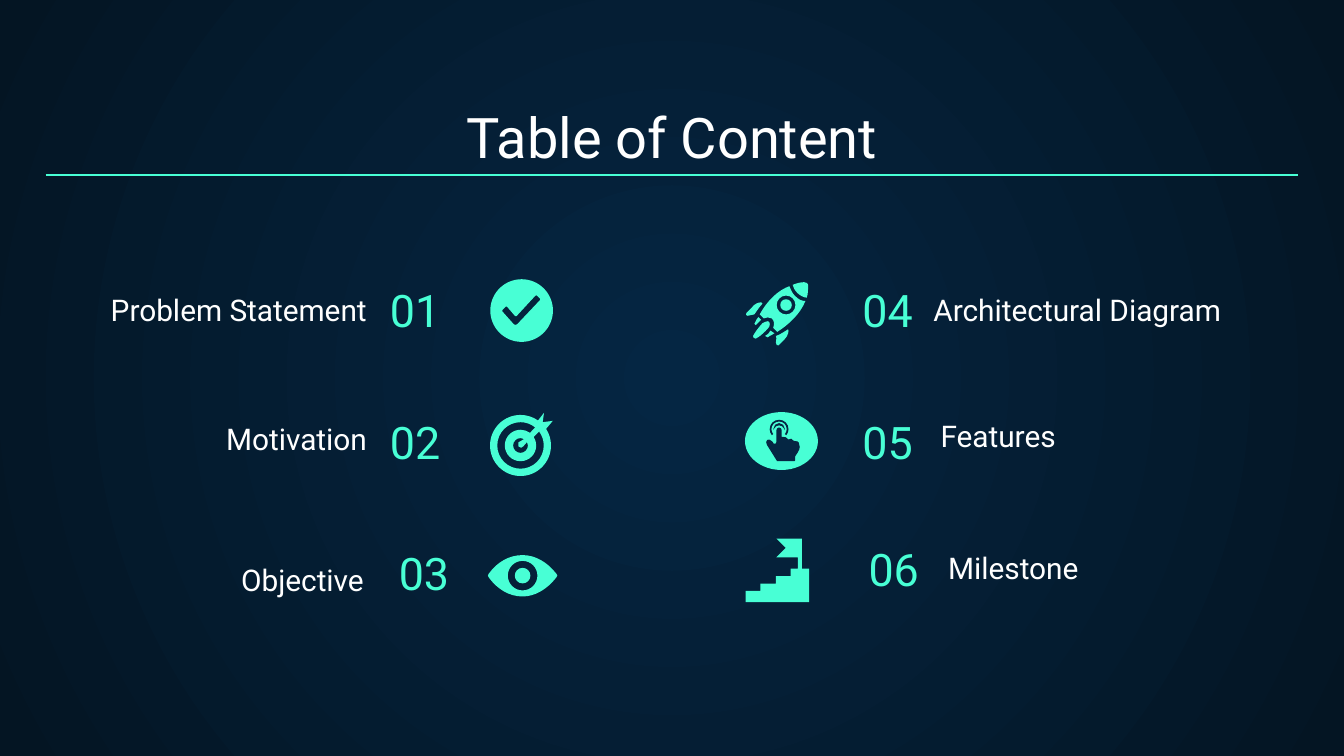
import math

from lxml import etree
from pptx import Presentation
from pptx import util as u
from pptx.dml import color
from pptx.enum import shapes, text
from pptx.oxml import ns

MINT, WHITE, NAVY, NIGHT = "48FFD5", "FFFFFF", "052643", "041523"
LEFT, CENTER, RIGHT = text.PP_ALIGN.LEFT, text.PP_ALIGN.CENTER, text.PP_ALIGN.RIGHT
FONT = "Roboto"
GRID = 0.72  # points per unit of the icon drawings


def rgb(value):
    return color.RGBColor.from_string(value)


def arc(x, y, radius, start=0, end=360):
    """A corner, then Bezier curves split at each quadrant; degrees, clockwise."""
    low, high = sorted((start, end))
    quadrants = range(math.floor(low / 90) * 90 + 90, high, 90)
    stops = sorted({low, *quadrants, high}, reverse=end < start)
    rays = [(math.cos(math.radians(a)), math.sin(math.radians(a))) for a in stops]
    steps = [(x + radius * rays[0][0], y + radius * rays[0][1])]
    for i in range(1, len(stops)):
        (c0, s0), (c1, s1) = rays[i - 1], rays[i]
        pull = 4 / 3 * math.tan(math.radians(stops[i] - stops[i - 1]) / 4)
        steps.append((x + radius * (c0 - pull * s0), y + radius * (s0 + pull * c0),
                      x + radius * (c1 + pull * s1), y + radius * (s1 - pull * c1),
                      x + radius * c1, y + radius * s1))
    return steps


# Each icon is a list of parts, each part a list of closed outlines.
# In an outline, pairs are corners and six numbers are a Bezier curve.
CHECK = [[
    [(34.5, 12), (37, 14.5), (37, 15.5), (20, 33.5), (18.5, 34), (17.5, 33.5), (9, 24),
     (9, 23), (11.5, 20.5), (12.5, 20.5), (18.5, 27.5), (19.5, 27.5), (33.5, 12.3)],
    arc(23.3, 23.3, 23.3),
]]
TARGET = [[
    [*arc(22.5, 24.3, 5.5, -27, 299), (21, 22), (21, 25), (23, 26), (24.5, 25)],
    [*arc(22.5, 24.3, 17.3, -37, 309), *arc(22.5, 24.3, 11.7, 307, -33)],
    [*arc(22.5, 24.3, 22.7, -33, 305), (40, 0), (39, 7), (46.5, 6)],
]]
EYE = [[
    arc(25.8, 15.3, 5.8),
    arc(25.8, 15.3, 11),
    [(25.8, 0), (16, 0, 7, 5, 0.5, 14), (-0.2, 15, -0.2, 15.8, 0.5, 16.5),
     (7, 25.5, 16, 30.8, 25.8, 30.8), (35, 30.8, 44, 25.5, 51, 16.5),
     (51.8, 15.5, 51.8, 15, 51, 14), (44, 5, 35, 0, 25.8, 0)],
]]
ROCKET = [
    [[(10, 26), (8, 28, 8, 30, 7, 31), (7, 32, 7, 32, 8, 32), (9, 31, 10, 30, 12, 28)]],
    [[(19, 36), (18, 38, 17, 39, 15, 40), (16, 40, 16, 41, 17, 41),
      (18, 40, 19, 40, 22, 38)]],
    [[(17, 29), (16, 29, 14, 30, 13, 30.5), (9, 35, 7, 38, 6, 40), (6, 41, 6.5, 42, 8, 42),
      (10, 41, 13, 39, 17, 34.5), (19, 33, 19, 29, 17, 29)]],
    [[(12, 15), (10, 15, 7, 16, 5, 19), (1, 23), (0, 24, 1, 25, 2, 25), (4, 24, 5, 24, 7, 24),
      (9, 21, 11, 18, 13, 16), (13, 16, 12.5, 15, 12, 15)]],
    [[(32, 35), (29, 37, 26, 39, 23, 40), (24, 41, 23, 42, 23, 45),
      (23, 46.5, 24, 47.5, 25, 47), (29, 43), (32, 40, 33, 36, 32, 35)]],
    [arc(30.6, 17, 4.3)],
    [[(44, 0), (41, 0, 38, 1, 35.5, 2), (36, 4, 37, 6, 39, 8), (41, 10, 44, 11.5, 46, 11.5),
      (47, 9, 47, 5, 47, 2), (47, 1, 46, 0, 44, 0)]],
    [arc(30.6, 17, 7),
     [(33, 3), (25, 6, 17, 13, 11, 24), (14, 27), (16, 26, 18, 26, 20, 27),
      (22, 29, 22, 31, 21, 34), (24, 37), (32, 32, 41, 24, 45, 14), (42, 14, 40, 13, 37, 10),
      (35, 8, 34, 5, 33, 3)]],
]
STAIRS = [[
    [(23, 0), (30, 7), (23, 14), (39, 14), (39, 22.5), (33.5, 22.5), (33.5, 28), (22.5, 28),
     (22.5, 33.5), (11, 33.5), (11, 39), (0, 39), (0, 47.3), (47.3, 47.3), (47.3, 22.5),
     (42, 22.5), (42, 0)],
]]
HAND = [
    [[*arc(10, 6.3, 7, 140, 400), *arc(10, 6.3, 5.7, 400, 140)]],
    [[*arc(10, 6, 4.2, 165, 375), *arc(10, 7.5, 4, 335, 205)]],
    [[(10, 5), (9, 5, 8, 6, 8, 7), (8, 16), (8, 17, 7, 17.5, 6, 17), (5, 15.5),
      (2, 12, -1, 15, 1, 18), (8.5, 30), (21.5, 30), (22, 29.5), (22, 26.5),
      (25, 22, 26, 20, 25, 18), (25, 15.5, 23, 14.5, 21, 15), (20, 13, 18, 13, 17, 14),
      (16, 12, 14, 12, 12, 12), (12, 7), (12, 6, 11, 5, 10, 5)]],
]


def add_text(page, box, words, size, tint, align):
    label = page.shapes.add_textbox(*map(u.Pt, box))
    frame = label.text_frame
    frame.word_wrap = True
    frame.auto_size = text.MSO_AUTO_SIZE.NONE
    frame.vertical_anchor = text.MSO_ANCHOR.BOTTOM
    frame.margin_left = frame.margin_right = u.Pt(7.2)
    frame.margin_top = frame.margin_bottom = u.Pt(7.2)
    para = frame.paragraphs[0]
    para.alignment = align
    span = para.add_run()
    span.text = words
    span.font.name, span.font.size = FONT, u.Pt(size)
    span.font.color.rgb = rgb(tint)


def paint(shape, tint):
    shape.shadow.inherit = False
    shape.fill.solid()
    shape.fill.fore_color.rgb = rgb(tint)
    shape.line.fill.background()


def bend(shape, steps):
    """Turn the straight segments of the six-number steps into curves."""
    for line, step in zip(list(shape._element.iter(ns.qn("a:lnTo"))), steps):
        if len(step) == 2:
            continue
        curve = etree.Element(ns.qn("a:cubicBezTo"))
        for x, y in zip(step[::2], step[1::2]):
            etree.SubElement(curve, ns.qn("a:pt"),
                             {"x": str(x - shape.left), "y": str(y - shape.top)})
        line.getparent().replace(line, curve)


def add_icon(page, corner, parts, tint=MINT):
    target = page.shapes.add_group_shape().shapes if len(parts) > 1 else page.shapes
    for part in parts:
        contours = [[tuple(u.Pt(corner[i % 2] + value * GRID) for i, value in enumerate(step))
                     for step in contour] for contour in part]
        builder = target.build_freeform(*contours[0][0], scale=1.0)
        for number, contour in enumerate(contours):
            if number:
                builder.move_to(*contour[0])
            builder.add_line_segments([step[-2:] for step in contour[1:]], close=True)
        shape = builder.convert_to_shape()
        bend(shape, [step for contour in contours for step in contour[1:]])
        paint(shape, tint)


def add_background(page):
    fill = page.background.fill
    fill.gradient()
    for stop, tint in zip(fill.gradient_stops, (NAVY, NIGHT)):
        stop.color.rgb = rgb(tint)
    gradient = page.background._cSld.find(".//" + ns.qn("a:gradFill"))
    gradient.remove(gradient.find(ns.qn("a:lin")))
    circle = etree.SubElement(gradient, ns.qn("a:path"), {"path": "circle"})
    etree.SubElement(circle, ns.qn("a:fillToRect"), dict.fromkeys("ltrb", "50000"))


def add_heading(page, box):
    left, top, width, height = box
    add_text(page, box, "Table of Content", 30, WHITE, CENTER)
    y = top + 43
    rule = page.shapes.add_connector(shapes.MSO_CONNECTOR.STRAIGHT, u.Pt(left), u.Pt(y),
                                     u.Pt(left + width), u.Pt(y))
    rule.line.color.rgb = rgb(MINT)
    rule.line.width = u.Pt(0.75)
    etree.SubElement(rule._element.spPr, ns.qn("a:effectLst"))


def add_entry(page, number, number_box, number_align, name, name_box, name_align):
    add_text(page, number_box, number, 24, MINT, number_align)
    add_text(page, name_box, name, 16, WHITE, name_align)


def add_touch_icon(page, box):
    left, top, width, height = box
    paint(page.shapes.add_shape(shapes.MSO_SHAPE.OVAL, *map(u.Pt, box)), MINT)
    add_icon(page, (left + 11.1, top + 4.6), HAND, NAVY)


def main():
    deck = Presentation()
    deck.slide_width, deck.slide_height = u.Pt(720), u.Pt(405)
    page = deck.slides.add_slide(deck.slide_layouts[6])
    add_background(page)
    add_heading(page, (24.5, 50.8, 671, 47.5))

    # Numbered entries: left column, then right column
    entries = [
        ("01", (201.8, 140.1, 92.9, 47.5), LEFT,
         "Problem Statement", (40.3, 167.4, 163.4, 15.1), RIGHT),
        ("02", (201.8, 210.6, 92.9, 47.5), LEFT,
         "Motivation", (40.3, 236.5, 163.4, 15.1), RIGHT),
        ("03", (191.5, 280.8, 56.2, 47.5), RIGHT,
         "Objective", (122.1, 312.2, 163.4, 15.1), LEFT),
        ("04", (403.2, 140.1, 92.9, 47.5), RIGHT,
         "Architectural Diagram", (493, 168.5, 189.4, 13.7), LEFT),
        ("05", (403.2, 210.6, 92.9, 47.5), RIGHT,
         "Features", (496.8, 235.1, 163.4, 15.1), LEFT),
        ("06", (458.2, 278.6, 58.3, 47.5), LEFT,
         "Milestone", (421.5, 305.7, 163.4, 15.1), RIGHT),
    ]
    for entry in entries:
        add_entry(page, *entry)

    # Icons
    add_icon(page, (262.7, 149.6), CHECK)
    add_icon(page, (262.7, 221.2), TARGET)
    add_icon(page, (261.4, 297.4), EYE)
    add_icon(page, (399.1, 151.2), ROCKET)
    add_touch_icon(page, (399.1, 220.8, 39.1, 31))
    add_icon(page, (399.4, 288.5), STAIRS)

    deck.save("out.pptx")


if __name__ == "__main__":
    main()
